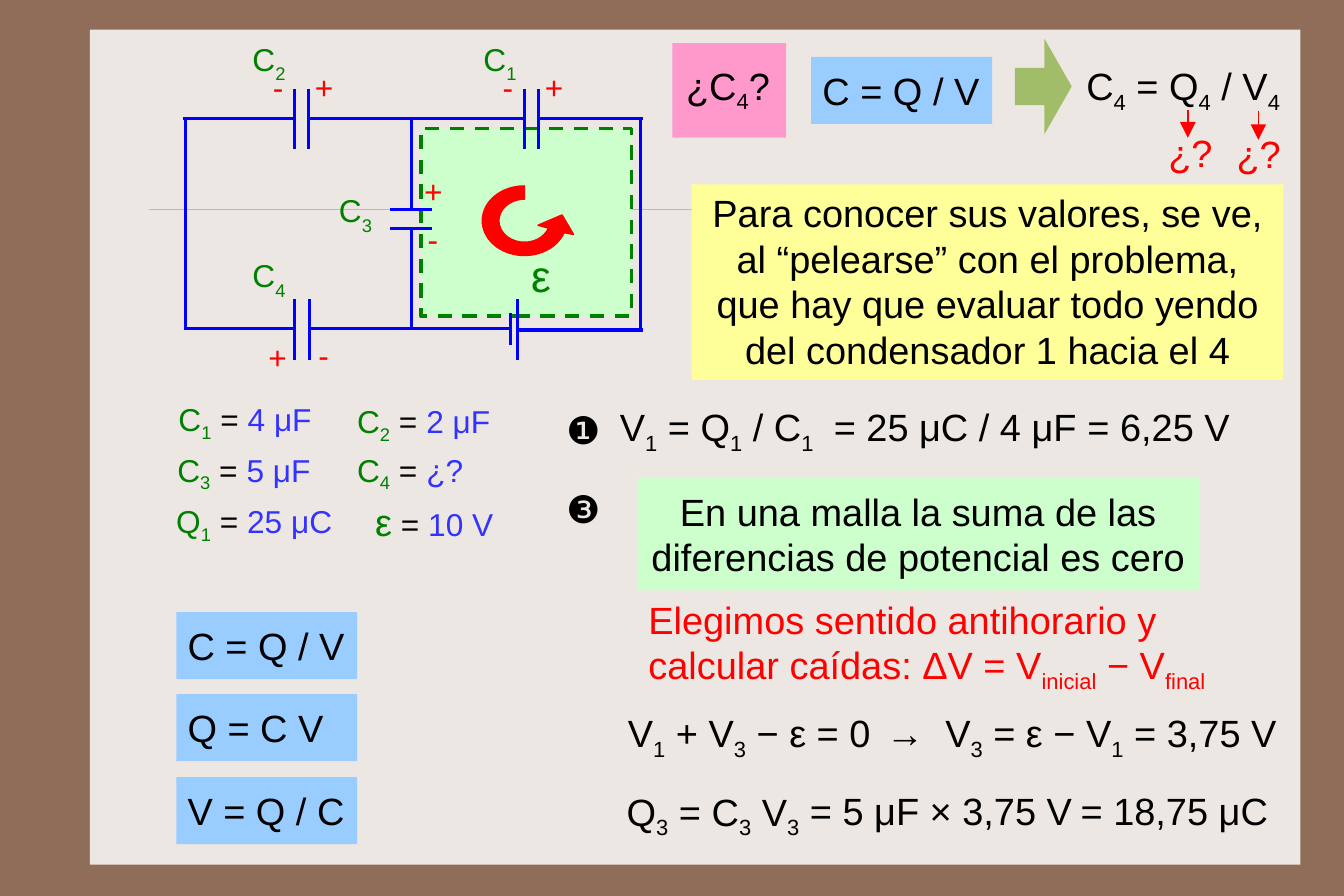
"""Build the slide that solves a capacitor circuit for C4."""
from dataclasses import dataclass
from math import cos, radians, sin
from typing import NamedTuple

from lxml import etree
from pptx import Presentation
from pptx.dml.color import RGBColor
from pptx.enum.dml import MSO_LINE
from pptx.enum.shapes import MSO_CONNECTOR, MSO_SHAPE
from pptx.enum.text import MSO_ANCHOR, MSO_AUTO_SIZE, PP_ALIGN
from pptx.oxml.ns import qn
from pptx.shapes.autoshape import Shape
from pptx.slide import Slide
from pptx.util import Emu, Pt

PX = 9144
SLIDE_SIZE = Pt(850.5), Pt(567)
STRAIGHT = MSO_CONNECTOR.STRAIGHT
RECTANGLE, RIGHT_ARROW = MSO_SHAPE.RECTANGLE, MSO_SHAPE.RIGHT_ARROW
TOP, MIDDLE = MSO_ANCHOR.TOP, MSO_ANCHOR.MIDDLE
LEFT, CENTER = PP_ALIGN.LEFT, PP_ALIGN.CENTER
GROW, DASH = MSO_AUTO_SIZE.SHAPE_TO_FIT_TEXT, MSO_LINE.DASH


@dataclass(frozen=True)
class Theme:
    """Colours, font and type sizes of the slide."""
    font: str = "Arial"
    frame: str = "906D58"
    paper: str = "EDE7E3"
    rule: str = "CBBD83"
    wire: str = "0000FF"
    black: str = "000000"
    green: str = "008000"
    red: str = "FF0000"
    value: str = "3333FF"
    mint: str = "CCFFCC"
    sky: str = "99CCFF"
    pink: str = "FF99CC"
    yellow: str = "FFFF99"
    arrow: str = "A1BD69"
    small: int = 20
    body: int = 24
    large: int = 28


THEME = Theme()


class Run(NamedTuple):
    """A piece of text; parts between underscores are subscripts."""
    text: str
    color: str = THEME.black
    size: int = THEME.body
    drop: int = -25


class Segment(NamedTuple):
    """A straight line between two points."""
    x1: int
    y1: int
    x2: int
    y2: int


@dataclass(frozen=True)
class Label:
    """A text box, filled or clear; each paragraph is a tuple of runs."""
    x: int
    y: int
    width: int
    height: int
    paragraphs: tuple[tuple[Run, ...], ...]
    fill: str = ""
    margins: tuple[int, int, int, int] = (10, 9, 10, 9)
    wrap: bool = False
    align: PP_ALIGN = LEFT
    anchor: MSO_ANCHOR = TOP
    grow: bool = True


WIRES = [Segment(*ends) for ends in (
    (271, 78, 271, 131), (259, 78, 259, 131), (473, 78, 473, 131), (461, 78, 461, 131),
    (380, 201, 343, 201), (380, 184, 343, 184), (272, 263, 272, 316), (259, 263, 259, 316),
    (449, 275, 449, 303), (455, 263, 455, 316), (258, 104, 161, 104), (461, 104, 272, 104),
    (473, 104, 565, 104), (163, 104, 163, 289), (563, 104, 563, 289), (362, 184, 362, 104),
    (362, 289, 362, 202), (259, 289, 162, 289), (449, 289, 273, 289), (565, 290, 455, 290))]
UNKNOWN_ARROWS = [Segment(1044, 97, 1044, 121), Segment(1106, 98, 1106, 123)]


def formula(x: int, y: int, width: int, text: str, color: str = THEME.black,
            fill: str = "", wrap: bool = False) -> Label:
    """Describe a one-line formula."""
    return Label(x, y, width, 59, ((Run(text, color),),), fill, wrap=wrap)


def component(x: int, y: int, height: int, text: str) -> Label:
    """Describe the name of a circuit component."""
    return Label(x, y, 55, height, ((Run(text, THEME.green, THEME.small, -30),),),
                 margins=(10, 5, 10, 5), wrap=True, grow=False)


def polarity(x: int, y: int, sign: str) -> Label:
    """Describe a charge sign beside a plate."""
    return Label(x, y, 36 if sign == "+" else 29, 52, ((Run(sign, THEME.red, THEME.small),),))


def datum(x: int, y: int, width: int, name: str, value: str, size: int = THEME.small) -> Label:
    """Describe a known or sought quantity."""
    runs = (Run(name, THEME.green, size), Run(" = ", size=THEME.small),
            Run(value, THEME.value, THEME.small))
    return Label(x, y, width, 51 if size > THEME.small else 44, (runs,), margins=(10, 5, 10, 5))


LABELS = [
    *(component(*name) for name in (
        (212, 30, 57, "C_2_"), (415, 30, 50, "C_1_"),
        (288, 163, 54, "C_3_"), (212, 220, 51, "C_4_"))),
    Label(457, 222, 37, 40, ((Run("ε", THEME.green, THEME.large),),),
          margins=(10, 5, 10, 5), wrap=True, anchor=MIDDLE, grow=False),
    *(polarity(*sign) for sign in (
        (469, 51, "+"), (432, 51, "-"), (267, 51, "+"), (230, 51, "-"),
        (363, 142, "+"), (366, 184, "-"), (226, 288, "+"), (270, 286, "-"))),
    *(datum(*entry) for entry in (
        (147, 347, 139, "C_1_", "4 μF"), (304, 348, 139, "C_2_", "2 μF"),
        (146, 391, 139, "C_3_", "5 μF"), (304, 391, 115, "C_4_", "¿?"),
        (145, 436, 159, "Q_1_", "25 μC"), (320, 433, 124, "ε", "10 V", THEME.body))),
    *(formula(*entry) for entry in (
        (535, 346, 196, "V_1_ = Q_1_ / C_1_"), (723, 346, 235, "= 25 μC / 4 μF"),
        (946, 346, 146, "= 6,25 V"), (542, 615, 237, "V_1_ + V_3_ − ε = 0"),
        (769, 615, 53, "→"), (821, 615, 179, "V_3_ = ε − V_1_"),
        (987, 615, 155, "= 3,75 V"), (541, 684, 178, "Q_3_ = C_3_ V_3_"),
        (702, 683, 251, "= 5 μF × 3,75 V"), (940, 683, 186, "= 18,75 μC"),
        (945, 46, 196, "C_4_ = Q_4_ / V_4_"), (488, 348, 50, "❶"), (488, 418, 50, "❸"),
        (1017, 105, 59, "¿?", THEME.red), (1077, 106, 59, "¿?", THEME.red),
        (713, 50, 159, "C = Q / V", THEME.black, THEME.sky),
        (155, 538, 159, "C = Q / V", THEME.black, THEME.sky),
        (155, 610, 159, "Q = C V", THEME.black, THEME.sky, True),
        (155, 683, 159, "V = Q / C", THEME.black, THEME.sky))),
    Label(591, 38, 100, 83, ((Run("¿C_4_?"),),), THEME.pink, (12, 12, 12, 16), anchor=MIDDLE),
    Label(560, 420, 494, 99,
          ((Run("En una malla la suma de las diferencias de potencial es cero"),),),
          THEME.mint, wrap=True, align=CENTER),
    Label(608, 162, 520, 172,
          ((Run("Para conocer sus valores, se ve,"),),
           (Run("al “pelearse” con el problema, que hay que evaluar todo yendo "
                "del condensador 1 hacia el 4"),)),
          THEME.yellow, (10, 5, 10, 5), wrap=True, align=CENTER),
    Label(560, 515, 562, 99,
          ((Run("Elegimos sentido antihorario y calcular caídas: ΔV = V_inicial_ − V_final_",
                THEME.red),),), wrap=True),
]


def px(length: float) -> Emu:
    """Turn px into EMU."""
    return Emu(round(length * PX))


def add_line(slide: Slide, segment: Segment, color: str, width: float,
             arrow: bool = False) -> None:
    """Draw a straight line, with an arrowhead at its end if asked."""
    connector = slide.shapes.add_connector(STRAIGHT, *map(px, segment))
    connector.line.color.rgb = RGBColor.from_string(color)
    connector.line.width = Pt(width)
    if arrow:
        etree.SubElement(connector.line._get_or_add_ln(), qn("a:tailEnd"),
                         type="triangle", w="lg", len="lg")
    etree.SubElement(connector._element.spPr, qn("a:effectLst"))


def paint(shape: Shape, fill: str) -> None:
    """Give a shape a flat fill without line or shadow."""
    shape.shadow.inherit = False
    shape.fill.solid()
    shape.fill.fore_color.rgb = RGBColor.from_string(fill)
    shape.line.fill.background()


def add_block(slide: Slide, kind: MSO_SHAPE, box: tuple[int, int, int, int], fill: str) -> Shape:
    """Draw a filled preset shape."""
    shape = slide.shapes.add_shape(kind, *map(px, box))
    paint(shape, fill)
    return shape


def add_label(slide: Slide, label: Label) -> None:
    """Draw a label run by run."""
    box = (label.x, label.y, label.width, label.height)
    if label.fill:
        shape = add_block(slide, RECTANGLE, box, label.fill)
    else:
        shape = slide.shapes.add_textbox(*map(px, box))
    frame = shape.text_frame
    frame.margin_left, frame.margin_top, frame.margin_right, frame.margin_bottom = map(
        px, label.margins)
    if label.grow:
        frame.auto_size = GROW
    frame.word_wrap = label.wrap
    frame.vertical_anchor = label.anchor
    for index, runs in enumerate(label.paragraphs):
        paragraph = frame.add_paragraph() if index else frame.paragraphs[0]
        paragraph.alignment = label.align
        pieces = [(run, position, text) for run in runs
                  for position, text in enumerate(run.text.split("_")) if text]
        for run, position, text in pieces:
            piece = paragraph.add_run()
            piece.text = text
            piece.font.name = THEME.font
            piece.font.size = Pt(run.size)
            piece.font.color.rgb = RGBColor.from_string(run.color)
            if position % 2:
                piece.font._element.set("baseline", str(run.drop * 1000))


def add_loop_arrow(slide: Slide) -> None:
    """Draw the anticlockwise arrow inside the mesh."""
    def arc(radius_x: float, radius_y: float) -> list[tuple[float, float]]:
        return [(461 + radius_x * cos(radians(angle)), 194 + radius_y * sin(radians(angle)))
                for angle in range(270, 19, -5)]

    outline = arc(37, 30.5) + [(504, 206), (494, 189), (473, 198)] + arc(22.5, 19)[::-1]
    points = [(px(x), px(y)) for x, y in outline]
    builder = slide.shapes.build_freeform(*points[0])
    builder.add_line_segments(points[1:], close=True)
    shape = builder.convert_to_shape()
    paint(shape, THEME.red)
    shape.line.color.rgb = RGBColor.from_string(THEME.red)
    shape.line.width = Pt(1)


def main() -> None:
    """Build and save the slide."""
    presentation = Presentation()
    presentation.slide_width, presentation.slide_height = SLIDE_SIZE
    slide = presentation.slides.add_slide(presentation.slide_layouts[6])
    slide.background.fill.solid()
    slide.background.fill.fore_color.rgb = RGBColor.from_string(THEME.frame)
    add_block(slide, RECTANGLE, (79, 26, 1064, 734), THEME.paper)
    add_line(slide, Segment(131, 184, 1122, 184), THEME.rule, 0.25)
    mesh = add_block(slide, RECTANGLE, (370, 113, 185, 165), THEME.mint)
    mesh.line.color.rgb = RGBColor.from_string(THEME.green)
    mesh.line.width = Pt(2.25)
    mesh.line.dash_style = DASH
    for wire in WIRES:
        add_line(slide, wire, THEME.wire, 2)
    add_loop_arrow(slide)
    arrow = add_block(slide, RIGHT_ARROW, (892, 34, 50, 84), THEME.arrow)
    arrow.adjustments[0], arrow.adjustments[1] = 0.39, 0.48
    for label in LABELS:
        add_label(slide, label)
    for segment in UNKNOWN_ARROWS:
        add_line(slide, segment, THEME.red, 1, arrow=True)
    presentation.save("out.pptx")


if __name__ == "__main__":
    main()
